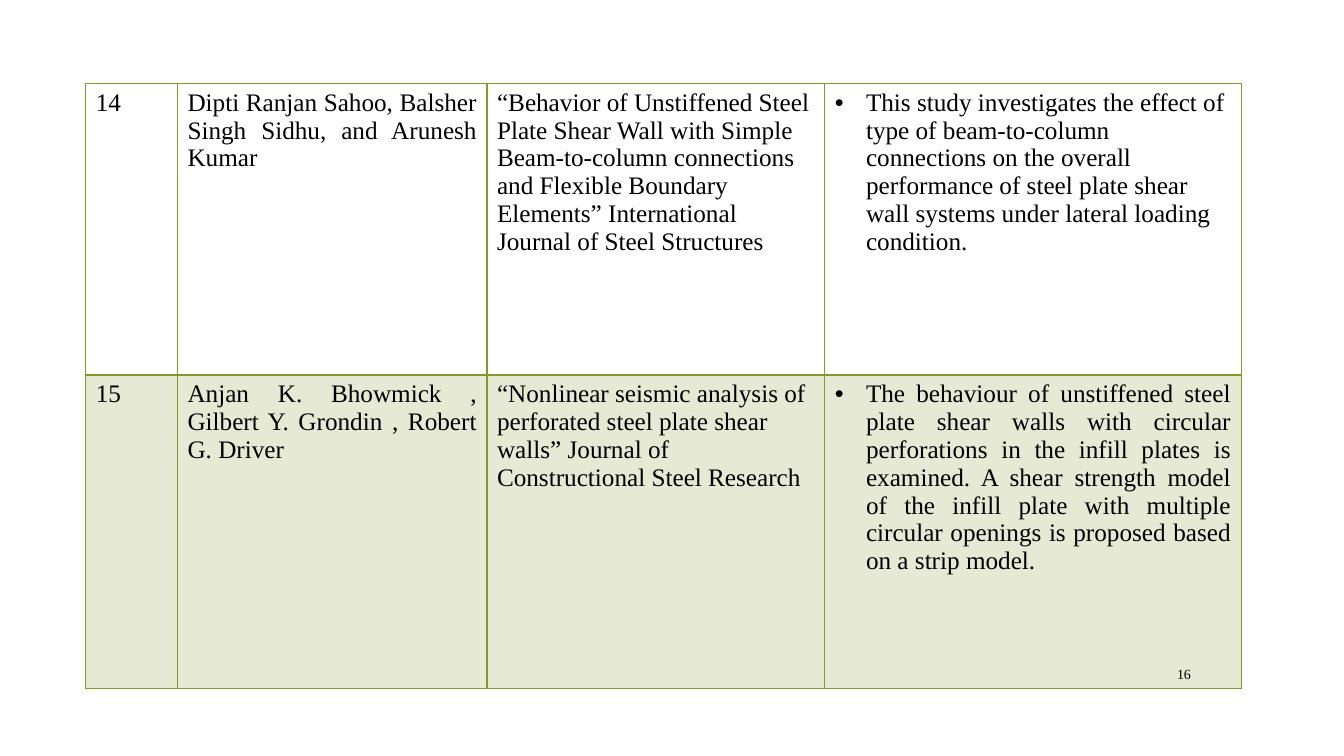
from dataclasses import dataclass
from lxml.etree import SubElement
from pptx import Presentation
from pptx.dml.color import RGBColor
from pptx.enum.text import MSO_ANCHOR, PP_ALIGN
from pptx.oxml.ns import qn
from pptx.util import Inches, Pt


@dataclass(frozen=True)
class Theme:
    font: str = "Times New Roman"
    ink: str = "000000"
    accent: str = "83992A"
    tint_percent: int = 20
    table_size: int = 18
    number_size: int = 10
    thin_line: int = 1
    thick_line: int = 2


STUDIES = [
    [
        ("14", PP_ALIGN.LEFT),
        ("Dipti Ranjan Sahoo, Balsher Singh Sidhu, and Arunesh Kumar", PP_ALIGN.JUSTIFY),
        ("“Behavior of Unstiffened Steel Plate Shear Wall with Simple Beam-to-column "
         "connections and Flexible Boundary Elements” International Journal of Steel "
         "Structures", PP_ALIGN.LEFT),
        ("This study investigates the effect of type of beam-to-column connections on "
         "the overall performance of steel plate shear wall systems under lateral "
         "loading condition.", PP_ALIGN.LEFT),
    ],
    [
        ("15", PP_ALIGN.LEFT),
        ("Anjan K. Bhowmick , Gilbert Y. Grondin , Robert G. Driver", PP_ALIGN.JUSTIFY),
        ("“Nonlinear seismic analysis of perforated steel plate shear walls” Journal of "
         "Constructional Steel Research", PP_ALIGN.LEFT),
        ("The behaviour of unstiffened steel plate shear walls with circular "
         "perforations in the infill plates is examined. A shear strength model of the "
         "infill plate with multiple circular openings is proposed based on a strip "
         "model.", PP_ALIGN.JUSTIFY),
    ],
]
COLUMN_WIDTHS = [0.91, 3.07, 3.35, 4.13]
ROW_HEIGHTS = [2.89, 3.11]


class SlideBuilder:
    def __init__(self, slide, theme):
        self.slide = slide
        self.theme = theme

    def add_text(self, paragraph, text, size, alignment):
        paragraph.alignment = alignment
        run = paragraph.add_run()
        run.text = text
        run.font.name = self.theme.font
        run.font.size = Pt(size)
        run.font.color.rgb = RGBColor.from_string(self.theme.ink)

    def add_bullet(self, paragraph):
        properties = paragraph._p.get_or_add_pPr()
        properties.set("marL", str(Inches(0.31)))
        properties.set("indent", str(-Inches(0.31)))
        SubElement(properties, qn("a:buFont"), typeface="Arial")
        SubElement(properties, qn("a:buChar"), char="•")

    def add_borders(self, cell, widths):
        properties = cell._tc.get_or_add_tcPr()
        for side, width in widths.items():
            line = SubElement(properties, qn(f"a:ln{side}"), w=str(Pt(width)))
            fill = SubElement(line, qn("a:solidFill"))
            SubElement(fill, qn("a:srgbClr"), val=self.theme.accent)

    def fill_cell(self, cell, tinted):
        if not tinted:
            cell.fill.background()
            return
        cell.fill.solid()
        cell.fill.fore_color.rgb = RGBColor.from_string(self.theme.accent)
        color = cell._tc.tcPr.find(f"{qn('a:solidFill')}/{qn('a:srgbClr')}")
        SubElement(color, qn("a:alpha"), val=str(self.theme.tint_percent * 1000))

    def add_study_table(self, left, top, rows, widths, heights):
        frame = self.slide.shapes.add_table(
            len(rows), len(widths), Inches(left), Inches(top),
            Inches(sum(widths)), Inches(sum(heights)))
        table = frame.table
        table.first_row = False
        table.horz_banding = False
        for column, width in zip(table.columns, widths):
            column.width = Inches(width)
        for row, height in zip(table.rows, heights):
            row.height = Inches(height)
        thin, thick = self.theme.thin_line, self.theme.thick_line
        for row_index, row in enumerate(rows):
            first = row_index == 0
            last = row_index == len(rows) - 1
            borders = {"L": thin, "R": thin, "T": thin if first else thick,
                       "B": thin if last else thick}
            for column_index, (text, alignment) in enumerate(row):
                cell = table.cell(row_index, column_index)
                paragraph = cell.text_frame.paragraphs[0]
                if column_index == len(widths) - 1:
                    self.add_bullet(paragraph)
                self.add_text(paragraph, text, self.theme.table_size, alignment)
                self.add_borders(cell, borders)
                self.fill_cell(cell, tinted=row_index % 2 == 1)

    def add_page_number(self, text, left, top, width, height):
        box = self.slide.shapes.add_textbox(
            Inches(left), Inches(top), Inches(width), Inches(height))
        frame = box.text_frame
        frame.word_wrap = True
        frame.vertical_anchor = MSO_ANCHOR.MIDDLE
        self.add_text(frame.paragraphs[0], text, self.theme.number_size, PP_ALIGN.RIGHT)


def main():
    presentation = Presentation()
    presentation.slide_width = Inches(13.33)
    presentation.slide_height = Inches(7.5)
    slide = presentation.slides.add_slide(presentation.slide_layouts[6])
    builder = SlideBuilder(slide, Theme())
    builder.add_study_table(0.85, 0.83, STUDIES, COLUMN_WIDTHS, ROW_HEIGHTS)
    builder.add_page_number("16", 11.32, 6.53, 0.59, 0.31)
    presentation.save("out.pptx")


if __name__ == "__main__":
    main()
